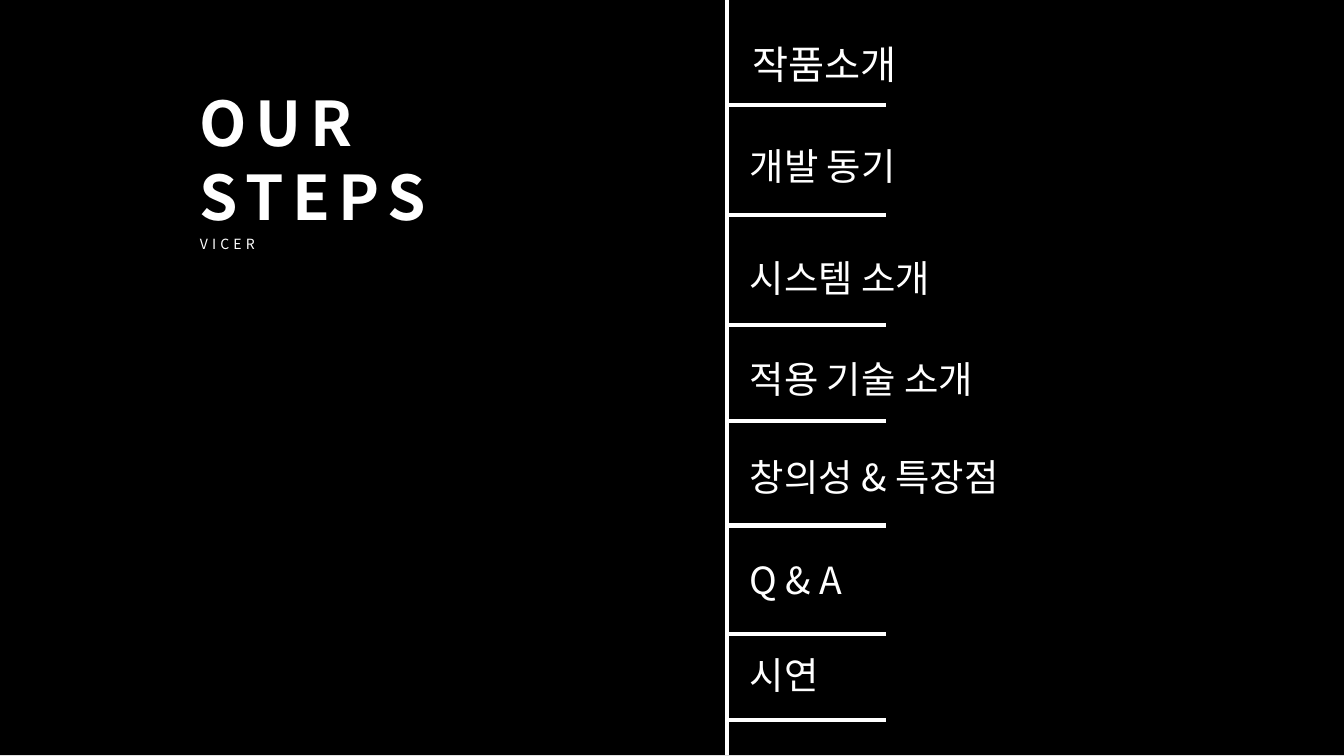
from dataclasses import dataclass

from lxml.etree import SubElement
from pptx import Presentation
from pptx.dml.color import RGBColor
from pptx.enum.shapes import MSO_CONNECTOR, MSO_SHAPE
from pptx.enum.text import PP_ALIGN
from pptx.oxml.ns import qn
from pptx.util import Pt


@dataclass(frozen=True)
class Theme:
    background: RGBColor = RGBColor(0, 0, 0)
    ink: RGBColor = RGBColor(255, 255, 255)
    font: str = "Noto Sans CJK KR"
    title: float = 33
    caption: float = 7.5
    lead: float = 21
    item: float = 20
    rule: float = 2.25


class Deck:
    def __init__(self, theme, slide):
        self.theme = theme
        self.slide = slide

    def panel(self, x, y, w, h):
        sp = self.slide.shapes.add_shape(MSO_SHAPE.RECTANGLE, Pt(x), Pt(y), Pt(w), Pt(h))
        sp.shadow.inherit = False
        sp.fill.solid()
        sp.fill.fore_color.rgb = self.theme.background
        sp.line.fill.background()

    def line(self, x1, y1, x2, y2):
        ln = self.slide.shapes.add_connector(
            MSO_CONNECTOR.STRAIGHT, Pt(x1), Pt(y1), Pt(x2), Pt(y2))
        ln.line.color.rgb = self.theme.ink
        ln.line.width = Pt(self.theme.rule)
        SubElement(ln._element.spPr, qn("a:effectLst"))

    def text(self, x, y, w, h, lines, size, bold=False, spacing=0, align=PP_ALIGN.LEFT):
        tf = self.slide.shapes.add_textbox(Pt(x), Pt(y), Pt(w), Pt(h)).text_frame
        tf.word_wrap = True
        for i, line in enumerate(lines):
            p = tf.add_paragraph() if i else tf.paragraphs[0]
            p.alignment = align
            r = p.add_run()
            r.text = line
            r.font.size = Pt(size)
            r.font.bold = bold
            r.font.name = self.theme.font
            r.font.color.rgb = self.theme.ink
            rpr = r.font._element
            SubElement(rpr, qn("a:ea"), typeface=self.theme.font)
            if spacing:
                rpr.set("spc", str(round(spacing * 100)))


STEPS = [
    ("개발 동기", 73.4, 115.2),
    ("시스템 소개", 133.2, 174.2),
    ("적용 기술 소개", 187.2, 225.4),
    ("창의성 & 특장점", 239.8, 281.5),
    ("Q & A", 295.2, 339.8),
    ("시연", 345.6, 385.9),
]


def main():
    prs = Presentation()
    prs.slide_width, prs.slide_height = Pt(720), Pt(405)
    theme = Theme()
    deck = Deck(theme, prs.slides.add_slide(prs.slide_layouts[6]))
    axis, rule_end = 389.5, 474.5

    deck.panel(0, 0, 720, 404.6)
    deck.line(axis, 0, axis, 404.6)
    deck.text(100, 41.8, 195, 87.1, ["OUR", "STEPS"], theme.title, bold=True, spacing=4.5)
    deck.text(100, 122.4, 256.3, 16.6, ["VICER"], theme.caption, spacing=2.2)

    deck.text(375.8, 18, 111.6, 32.4, ["작품소개"], theme.lead, align=PP_ALIGN.RIGHT)
    deck.line(axis, 56.2, rule_end, 56.2)
    for label, top, rule in STEPS:
        deck.text(394.6, top, 167, 31.7, [label], theme.item)
        deck.line(axis, rule, rule_end, rule)

    prs.save("out.pptx")


if __name__ == "__main__":
    main()
